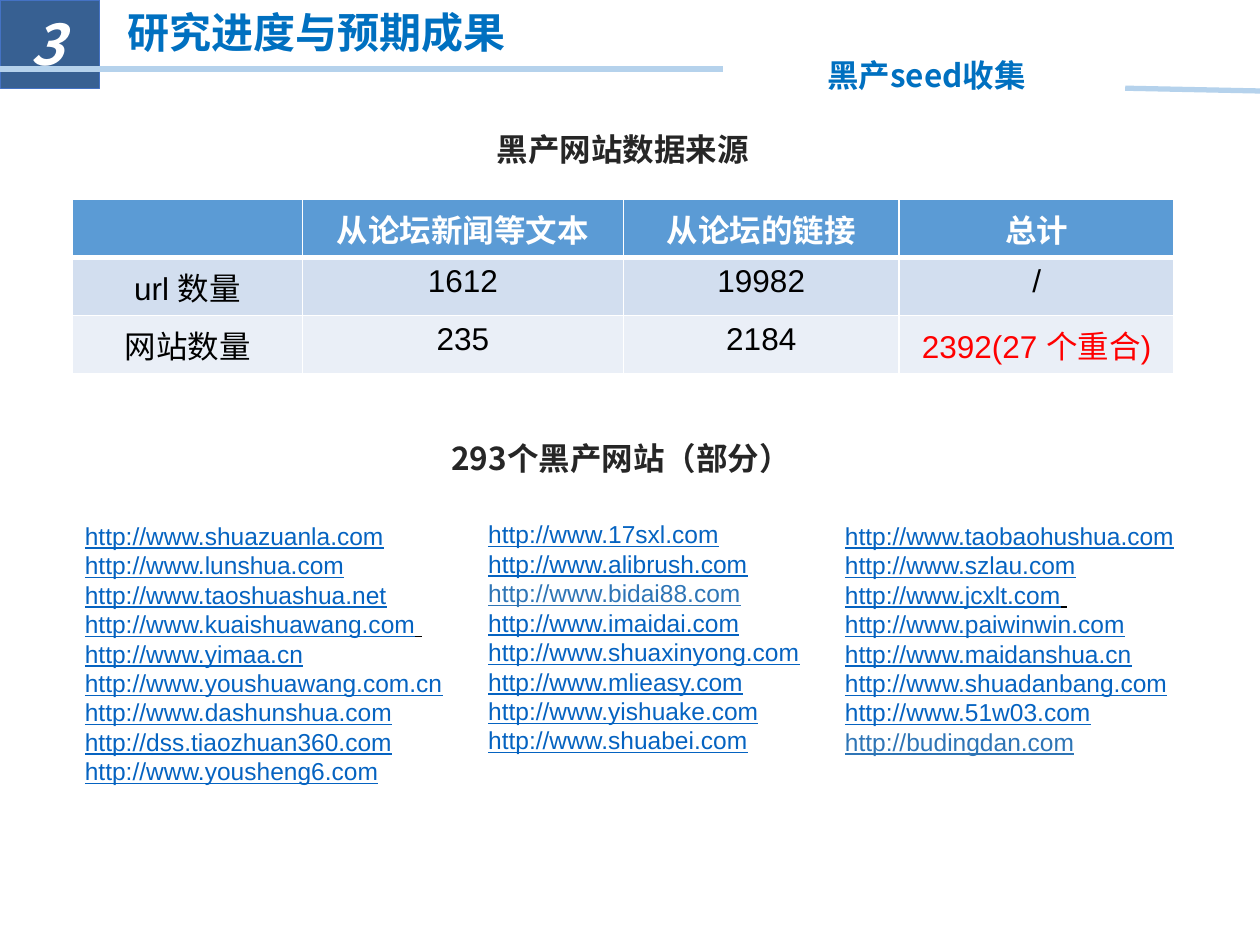
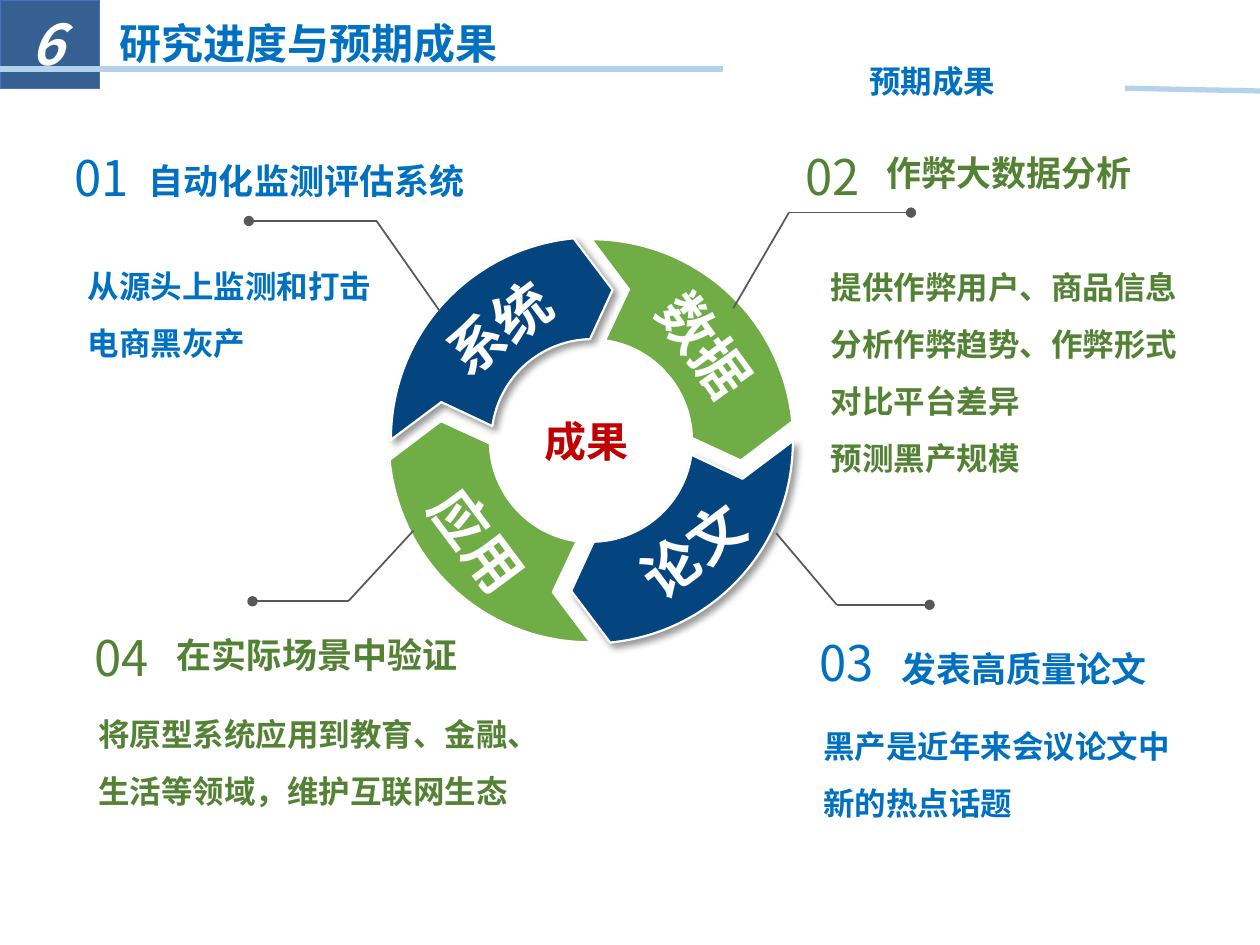
from dataclasses import dataclass

from lxml.etree import SubElement
from pptx import Presentation
from pptx.dml.color import RGBColor
from pptx.enum.shapes import MSO_CONNECTOR, MSO_SHAPE
from pptx.enum.text import MSO_ANCHOR, PP_ALIGN
from pptx.oxml.ns import qn
from pptx.util import Pt


@dataclass(frozen=True)
class Theme:
    sans: str = "Noto Sans CJK SC"
    plain: str = "Arial"
    white: str = "FFFFFF"
    black: str = "000000"
    ink: str = "262626"
    blue: str = "0070C0"
    navy: str = "04447F"
    moss: str = "548235"
    green: str = "70AD47"
    red: str = "C00000"
    alert: str = "FF0000"
    badge: str = "376092"
    edge: str = "4472C4"
    band: str = "B5D2EC"
    wire: str = "595757"
    link: str = "0563C1"
    seen: str = "2E75B6"
    rows: tuple = ("5B9BD5", "D2DEEF", "EAEFF7")
    huge: int = 32
    digit: int = 28
    title: int = 24
    head: int = 20
    body: int = 18
    url: int = 14


T = Theme()
rgb = RGBColor.from_string
MID, TOP = MSO_ANCHOR.MIDDLE, MSO_ANCHOR.TOP
LEFT, CENTER = PP_ALIGN.LEFT, PP_ALIGN.CENTER


def write(frame, lines, size, tint, bold=True, font=T.sans, align=LEFT, gap=None,
          pad=(7.2, 3.6), anchor=TOP, ital=None, under=None):
    frame.word_wrap = True
    frame.vertical_anchor = anchor
    frame.margin_left = frame.margin_right = Pt(pad[0])
    frame.margin_top = frame.margin_bottom = Pt(pad[1])
    for i, runs in enumerate(lines):
        para = frame.paragraphs[0] if i == 0 else frame.add_paragraph()
        para.alignment = align
        if gap:
            para.line_spacing = gap
        for words, shade in [(runs, tint)] if isinstance(runs, str) else runs:
            run = para.add_run()
            run.text = words
            face = run.font
            face.size, face.bold, face.italic = Pt(size), bold, ital
            face.underline, face.name = under, font
            face.color.rgb = rgb(shade)
            SubElement(face._element, qn("a:ea"), typeface=T.sans)


def rule(slide, start, end, tint, width, dot=False):
    line = slide.shapes.add_connector(MSO_CONNECTOR.STRAIGHT, *map(Pt, start + end))
    line.line.color.rgb = rgb(tint)
    line.line.width = Pt(width)
    if dot:
        SubElement(line.line._get_or_add_ln(), qn("a:tailEnd"), type="oval")
    SubElement(line._element.spPr, qn("a:effectLst"))


deck = Presentation()
deck.slide_width, deck.slide_height = Pt(720), Pt(540)

pages = [
    ("3", (65.9, 4.6), "黑产seed收集", (416, 31.7)),
    ("6", (61.2, 11), "预期成果", (419.4, 35)),
]
for mark, spot, topic, place in pages:
    slide = deck.slides.add_slide(deck.slide_layouts[6])
    badge = slide.shapes.add_shape(MSO_SHAPE.RECTANGLE, 0, 0, Pt(57), Pt(50.5))
    badge.shadow.inherit = False
    badge.fill.solid()
    badge.fill.fore_color.rgb = rgb(T.badge)
    badge.line.color.rgb = rgb(T.edge)
    badge.line.width = Pt(0.5)
    rule(slide, (0, 39.5), (413, 39.5), T.band, 3)
    rule(slide, (643, 50.4), (720, 52), T.band, 3)
    box = slide.shapes.add_textbox(*map(Pt, spot + (545, 30.2)))
    write(box.text_frame, ["研究进度与预期成果"], T.title, T.blue, gap=0.9, anchor=MID)
    box = slide.shapes.add_textbox(0, 0, Pt(54), Pt(54.7))
    write(box.text_frame, [mark], T.huge, T.white, align=CENTER, gap=0.9,
          pad=(5, 2.9), anchor=MID, ital=True)
    box = slide.shapes.add_textbox(*map(Pt, place + (226.8, 19.4)))
    write(box.text_frame, [topic], T.body, T.blue, align=CENTER, gap=0.9, pad=(5, 2.9))

seed, goal = deck.slides

for words, spot in [("黑产网站数据来源", (276.8, 69.1)),
                    ("293个黑产网站（部分）", (250.9, 246))]:
    box = seed.shapes.add_textbox(*map(Pt, spot + (263.5, 31.7)))
    write(box.text_frame, [words], T.body, T.ink, anchor=MID)

cells = [
    ["", "从论坛新闻等文本", "从论坛的链接", "总计"],
    ["url 数量", "1612", "19982", "/"],
    ["网站数量", "235", "2184", "2392(27 个重合)"],
]
wide = [131.3, 183.5, 157.5, 157.2]
grid = seed.shapes.add_table(3, 4, Pt(41.5), Pt(113.9), Pt(sum(wide)), Pt(99.6)).table
for col, width in zip(grid.columns, wide):
    col.width = Pt(width)
for r, row in enumerate(cells):
    grid.rows[r].height = Pt(33.2)
    for c, words in enumerate(row):
        cell = grid.cell(r, c)
        tint = T.white if r == 0 else T.alert if (r, c) == (2, 3) else T.black
        if words:
            write(cell.text_frame, [words], T.body, tint, bold=r == 0,
                  font=T.plain, align=CENTER)
        props = cell._tc.get_or_add_tcPr()
        for side in ("lnL", "lnR", "lnT", "lnB"):
            thick = (r, side) in ((0, "lnB"), (1, "lnT"))
            edge = SubElement(props, qn("a:" + side), w=str(Pt(3 if thick else 1)))
            SubElement(SubElement(edge, qn("a:solidFill")), qn("a:srgbClr"), val=T.white)
        cell.fill.solid()
        cell.fill.fore_color.rgb = rgb(T.rows[r])

space = (" ", T.black)
sites = [
    ((41.4, 294.1, 232.6, 159.8), [
        "http://www.shuazuanla.com", "http://www.lunshua.com",
        "http://www.taoshuashua.net",
        [("http://www.kuaishuawang.com", T.link), space],
        "http://www.yimaa.cn", "http://www.youshuawang.com.cn",
        "http://www.dashunshua.com", "http://dss.tiaozhuan360.com",
        "http://www.yousheng6.com"]),
    ((271.9, 293.3, 221, 143.3), [
        "http://www.17sxl.com", "http://www.alibrush.com",
        [("http://www.bidai88.com", T.seen)],
        "http://www.imaidai.com", "http://www.shuaxinyong.com",
        "http://www.mlieasy.com", "http://www.yishuake.com",
        "http://www.shuabei.com"]),
    ((475.8, 294.1, 221, 143.3), [
        "http://www.taobaohushua.com", "http://www.szlau.com",
        [("http://www.jcxlt.com", T.link), space],
        "http://www.paiwinwin.com", "http://www.maidanshua.cn",
        "http://www.shuadanbang.com", "http://www.51w03.com",
        [("http://budingdan.com", T.seen)]]),
]
for area, urls in sites:
    box = seed.shapes.add_textbox(*map(Pt, area))
    write(box.text_frame, urls, T.url, T.link, bold=False, font=T.plain, under=True)

box = goal.shapes.add_textbox(*map(Pt, (304.2, 234, 92.2, 36)))
write(box.text_frame, ["成果"], T.title, T.red)

outer = [(0, -115.2), (60.5, -115.2), (109.4, -69.8), (115.2, -10.8)]
inner = [(57.6, -1.4), (56.9, -29.5), (36, -53.3), (7.9, -57.2)]
blade = outer + [(85.7, 11.5)] + inner + [(21.6, -86.4)]

parts = [
    ("04", 2, (337.7, 252), (54, 358.6, 35.3, 33.8),
     "在实际场景中验证", (73.6, 358.6, 215.3, 46), CENTER, None,
     "应用", (199.6, 288), 53.3,
     [(236.2, 303.3), (199, 343.6), (144.3, 343.6)],
     ["将原型系统应用到教育、金融、生活等领域，维护互联网生态"], (56.2, 398, 247.7, 67)),
    ("03", 1, (337.9, 252), (468.4, 361.6, 34.6, 33.8),
     "发表高质量论文", (508, 361.4, 203.8, 51), LEFT, 1.2,
     "论文", (327.1, 294.3), 323,
     [(443.5, 304.6), (478.2, 345.6), (531.2, 345.6)],
     ["黑产是近年来会议论文中新的热点话题"], (470.5, 404.8, 208.8, 84.2)),
    ("02", 0, (337.7, 251.8), (460, 83.5, 51.8, 33.8),
     "作弊大数据分析", (472.6, 83.2, 208, 46), CENTER, None,
     "数据", (329.3, 176.4), 54.1,
     [(419, 176.2), (450.8, 121.5), (520.6, 121.5)],
     ["提供作弊用户、商品信息", "分析作弊趋势、作弊形式", "对比平台差异", "预测黑产规模"],
     (474.7, 142.6, 210.2, 52.6)),
    ("01", 3, (338.6, 251.4), (42.5, 84.2, 44.6, 33.8),
     "自动化监测评估系统", (78, 82.8, 208, 36), LEFT, 1.2,
     "系统", (216.2, 167), 323,
     [(251.3, 177.8), (215.2, 126.3), (142.2, 126.3)],
     ["从源头上监测和打击电商黑灰产"], (50.1, 141.8, 165.6, 52.6)),
]
for mark, turn, hub, spot, head, area, align, gap, label, place, tilt, bend, body, zone in parts:
    dark = turn % 2 == 1
    tint = T.blue if dark else T.moss
    cs, sn = [(1, 0), (0, 1), (-1, 0), (0, -1)][turn]
    rim = [(Pt(hub[0] + x * cs - y * sn), Pt(hub[1] + x * sn + y * cs)) for x, y in blade]
    pen = goal.shapes.build_freeform(*rim[0])
    pen.add_line_segments(rim[1:], close=True)
    arc = pen.convert_to_shape()
    legs = list(arc._element.iter(qn("a:lnTo")))
    for first in (0, 5):
        curve = SubElement(legs[first].getparent(), qn("a:cubicBezTo"))
        legs[first].addprevious(curve)
        for leg in legs[first:first + 3]:
            curve.append(leg[0])
            leg.getparent().remove(leg)
    arc.fill.solid()
    arc.fill.fore_color.rgb = rgb(T.navy if dark else T.green)
    arc.line.color.rgb = rgb(T.white)
    arc.line.width = Pt(1.25 if dark else 1.5)
    arc.shadow.inherit = False
    if dark:
        glow = SubElement(arc._element.spPr.find(qn("a:effectLst")), qn("a:outerShdw"),
                          blurRad=str(Pt(4)), dist=str(Pt(3)), dir="2700000",
                          algn="tl", rotWithShape="0")
        shade = SubElement(glow, qn("a:srgbClr"), val=T.black)
        SubElement(shade, qn("a:alpha"), val="40000")
    box = goal.shapes.add_textbox(*map(Pt, place + (141.8, 45.4)))
    box.rotation = tilt
    write(box.text_frame, [label], T.huge, T.white, align=CENTER, pad=(0, 0))
    rule(goal, bend[0], bend[1], T.wire, 1)
    rule(goal, bend[1], bend[2], T.wire, 1, dot=True)
    box = goal.shapes.add_textbox(*map(Pt, spot))
    write(box.text_frame, [mark], T.digit, tint, bold=False, pad=(0, 0), anchor=MID)
    box = goal.shapes.add_textbox(*map(Pt, area))
    write(box.text_frame, [head], T.head, tint, align=align, gap=gap)
    box = goal.shapes.add_textbox(*map(Pt, zone))
    write(box.text_frame, body, T.body, tint, gap=1.5, pad=(0, 0))

deck.save("out.pptx")
